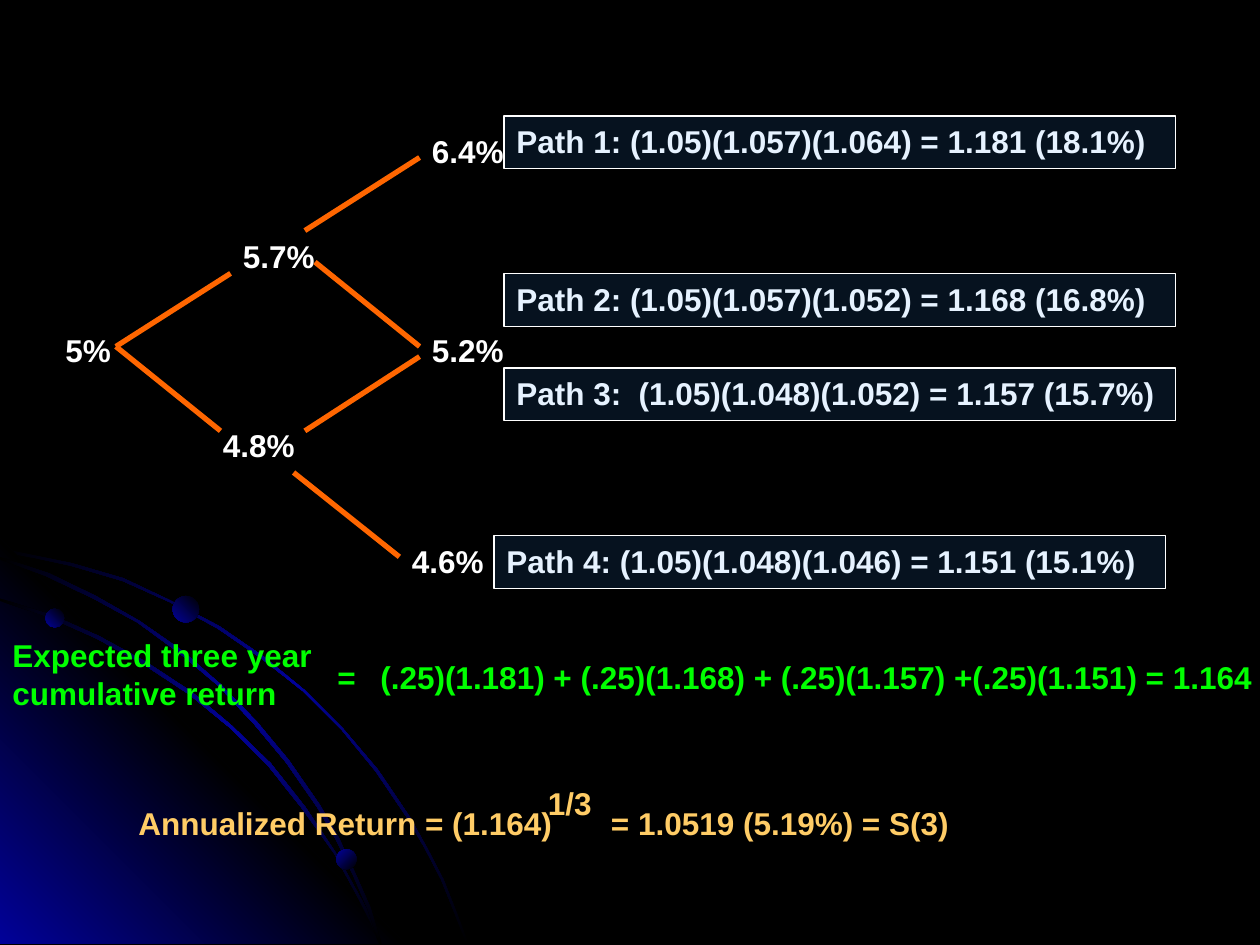
from dataclasses import dataclass

from lxml import etree
from pptx import Presentation
from pptx.dml.color import RGBColor
from pptx.enum.shapes import MSO_CONNECTOR, MSO_SHAPE
from pptx.enum.text import MSO_AUTO_SIZE
from pptx.oxml.ns import qn
from pptx.util import Inches, Pt

STRAIGHT = MSO_CONNECTOR.STRAIGHT
RECTANGLE = MSO_SHAPE.RECTANGLE
OVAL = MSO_SHAPE.OVAL
GROW = MSO_AUTO_SIZE.SHAPE_TO_FIT_TEXT


@dataclass(frozen=True)
class Theme:
    """Colours, type and line sizes of the slide."""

    font: str = "Arial"
    size: float = 18
    space_before: float = 11.2
    black: str = "000000"
    glow: str = "010199"
    white: str = "FFFFFF"
    branch: str = "FF6600"
    frame: str = "3399FF"
    frame_opacity: int = 12
    expected: str = "00FF00"
    annualized: str = "FFCC66"
    branch_width: float = 3
    frame_width: float = 0.75


THEME = Theme()

CORNER = [(3.22, 7.49), (0, 7.49), (0, 4.27)]
OUTER_ARC = [
    (0.57, 4.47), (0.28, 4.41), (0, 4.35), (0, 4.38), (0.28, 4.43), (0.56, 4.49),
    (0.97, 4.61), (1.35, 4.78), (1.73, 4.99), (2.08, 5.23), (2.41, 5.49), (2.71, 5.79),
    (2.98, 6.12), (3.23, 6.49), (3.37, 6.73), (3.5, 6.98), (3.6, 7.23), (3.7, 7.49),
    (3.72, 7.49), (3.62, 7.23), (3.52, 6.98), (3.39, 6.73), (3.25, 6.48), (3, 6.11),
    (2.72, 5.78), (2.42, 5.48), (2.09, 5.21), (1.74, 4.97), (1.36, 4.77), (0.98, 4.59),
]
INNER_ARC = [
    (2.85, 7.14), (2.94, 7.32), (3.01, 7.49), (3.03, 7.49), (2.96, 7.3), (2.86, 7.12),
    (2.66, 6.76), (2.42, 6.4), (2.15, 6.06), (1.84, 5.76), (1.52, 5.49), (1.17, 5.26),
    (0.79, 5.05), (0.41, 4.88), (0, 4.75), (0, 4.77), (0.39, 4.9), (0.77, 5.07),
    (1.15, 5.28), (1.5, 5.51), (1.83, 5.78), (2.13, 6.08), (2.4, 6.42), (2.65, 6.77),
]
MIDDLE_ARC = [
    (0, 4.42), (0, 4.44), (0.36, 4.57), (0.74, 4.75), (1.09, 4.94), (1.42, 5.18),
    (1.73, 5.44), (2.02, 5.75), (2.27, 6.05), (2.52, 6.41), (2.67, 6.67), (2.8, 6.94),
    (2.92, 7.22), (3.01, 7.49), (3.03, 7.49), (2.94, 7.2), (2.82, 6.93), (2.69, 6.65),
    (2.54, 6.39), (2.29, 6.03), (2.04, 5.73), (1.75, 5.43), (1.44, 5.16), (1.11, 4.93),
    (0.76, 4.73), (0.39, 4.55),
]
ORBS = [(0.36, 4.83, 0.15, 135), (2.67, 6.74, 0.16, 225), (1.37, 4.73, 0.21, 135)]

BRANCHES = [
    (0.92, 2.75, 1.83, 2.17), (0.92, 2.75, 1.75, 3.42),
    (2.42, 1.83, 3.33, 1.25), (2.5, 2.08, 3.33, 2.75),
    (2.42, 3.42, 3.33, 2.83), (2.33, 3.75, 3.17, 4.42),
]
RATES = [
    ("5%", 0.42, 2.58), ("5.7%", 1.83, 1.83), ("4.8%", 1.67, 3.33),
    ("6.4%", 3.33, 1), ("5.2%", 3.33, 2.58), ("4.6%", 3.17, 4.25),
]
PATHS = [
    ("Path 1: (1.05)(1.057)(1.064) = 1.181 (18.1%)", 4, 0.92),
    ("Path 2: (1.05)(1.057)(1.052) = 1.168 (16.8%)", 4, 2.17),
    ("Path 3:  (1.05)(1.048)(1.052) = 1.157 (15.7%)", 4, 2.92),
    ("Path 4: (1.05)(1.048)(1.046) = 1.151 (15.1%)", 3.92, 4.25),
]
FORMULAS = [
    ("(.25)(1.181) + (.25)(1.168) + (.25)(1.157) +(.25)(1.151) = 1.164",
     2.92, 5.17, 7.42, 0.4, THEME.expected),
    ("Expected three year cumulative return", 0, 5, 2.83, 0.7, THEME.expected),
    ("=", 2.58, 5.17, 0.58, 0.4, THEME.expected),
    ("Annualized Return = (1.164)", 1, 6.33, 6.92, 0.4, THEME.annualized),
    ("1/3", 4.25, 6.17, 0.75, 0.4, THEME.annualized),
    ("= 1.0519 (5.19%) = S(3)", 4.75, 6.33, 3.08, 0.4, THEME.annualized),
]


def set_format(target, values):
    """Set each named attribute on the target."""
    for name, value in values.items():
        setattr(target, name, value)


def set_gradient(shape, colours, angle):
    """Fill a shape with evenly spaced colours along a clockwise angle."""
    shape.shadow.inherit = False
    shape.line.fill.background()
    shape.fill.gradient()
    shape.fill.gradient_angle = 360 - angle
    stops = shape._element.spPr.find(qn("a:gradFill")).find(qn("a:gsLst"))
    for stop in list(stops):
        stops.remove(stop)
    for index, colour in enumerate(colours):
        position = str(100000 * index // (len(colours) - 1))
        stop = etree.SubElement(stops, qn("a:gs"), pos=position)
        etree.SubElement(stop, qn("a:srgbClr"), val=colour)


def add_outline(page, points, colours, angle):
    """Add a closed gradient outline through points in inches."""
    corners = [(Inches(x), Inches(y)) for x, y in points]
    builder = page.shapes.build_freeform(*corners[0])
    builder.add_line_segments(corners[1:], close=True)
    set_gradient(builder.convert_to_shape(), colours, angle)


def add_orb(page, left, top, size, angle):
    """Add a small shaded ball."""
    place = map(Inches, (left, top, size, size))
    orb = page.shapes.add_shape(OVAL, *place)
    set_gradient(orb, (THEME.black, THEME.glow), angle)


def add_branch(page, ends):
    """Add one branch of the rate tree."""
    branch = page.shapes.add_connector(STRAIGHT, *map(Inches, ends))
    branch.line.color.rgb = RGBColor.from_string(THEME.branch)
    branch.line.width = Pt(THEME.branch_width)
    etree.SubElement(branch._element.spPr, qn("a:effectLst"))


def add_label(page, text, left, top, width, height, colour):
    """Add a bold line of text in the given colour."""
    box = page.shapes.add_textbox(*map(Inches, (left, top, width, height)))
    set_format(box.text_frame, {"word_wrap": True, "auto_size": GROW})
    para = box.text_frame.paragraphs[0]
    para.space_before = Pt(THEME.space_before)
    span = para.add_run()
    span.text = text
    set_format(span.font, {"name": THEME.font, "size": Pt(THEME.size), "bold": True})
    span.font.color.rgb = RGBColor.from_string(colour)


def add_frame(page, left, top):
    """Add the translucent frame that lies over a path."""
    place = map(Inches, (left, top, 5.33, 0.42))
    frame = page.shapes.add_shape(RECTANGLE, *place)
    frame.shadow.inherit = False
    frame.fill.solid()
    frame.fill.fore_color.rgb = RGBColor.from_string(THEME.frame)
    colour = frame._element.spPr.find(qn("a:solidFill"))[0]
    etree.SubElement(colour, qn("a:alpha"), val=str(THEME.frame_opacity * 1000))
    frame.line.color.rgb = RGBColor.from_string(THEME.white)
    frame.line.width = Pt(THEME.frame_width)


def add_backdrop(page):
    """Add the black background with its glowing corner, arcs and orbs."""
    page.background.fill.solid()
    page.background.fill.fore_color.rgb = RGBColor.from_string(THEME.black)
    arc_colours = (THEME.black, THEME.glow, THEME.black)
    add_outline(page, OUTER_ARC, arc_colours, 225)
    add_outline(page, CORNER, (THEME.glow, THEME.black, THEME.glow), 135)
    for arc in (INNER_ARC, MIDDLE_ARC):
        add_outline(page, arc, arc_colours, 225)
    for orb in ORBS:
        add_orb(page, *orb)


def main():
    """Build the rate tree slide and save it."""
    deck = Presentation()
    set_format(deck, {"slide_width": Inches(10), "slide_height": Inches(7.5)})
    page = deck.slides.add_slide(deck.slide_layouts[6])
    add_backdrop(page)
    for ends in BRANCHES:
        add_branch(page, ends)
    for text, left, top in RATES:
        add_label(page, text, left, top, 1.08, 0.4, THEME.white)
    for text, left, top in PATHS:
        add_label(page, text, left, top, 5.33, 0.4, THEME.white)
        add_frame(page, left, top)
    for formula in FORMULAS:
        add_label(page, *formula)
    deck.save("out.pptx")


if __name__ == "__main__":
    main()
